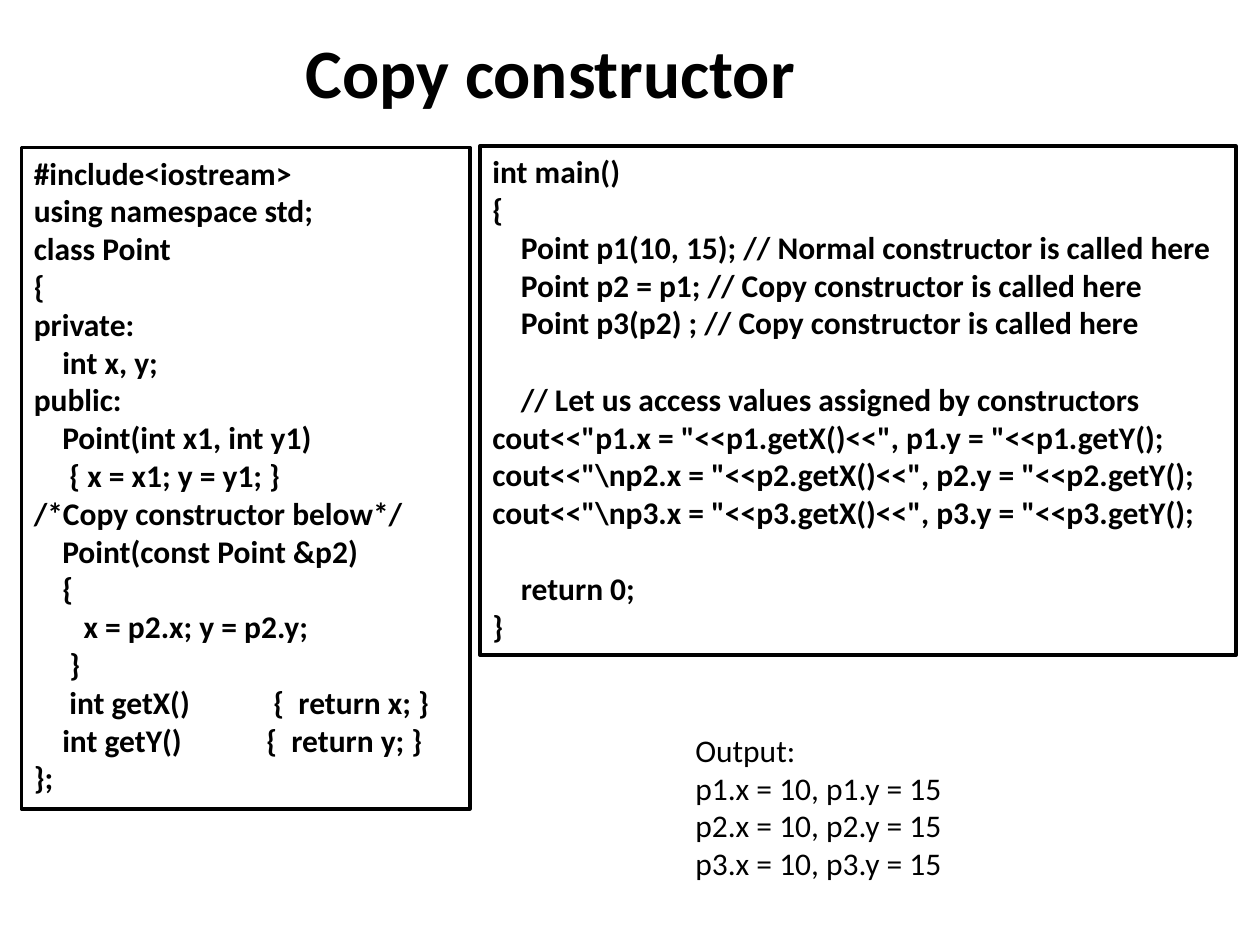
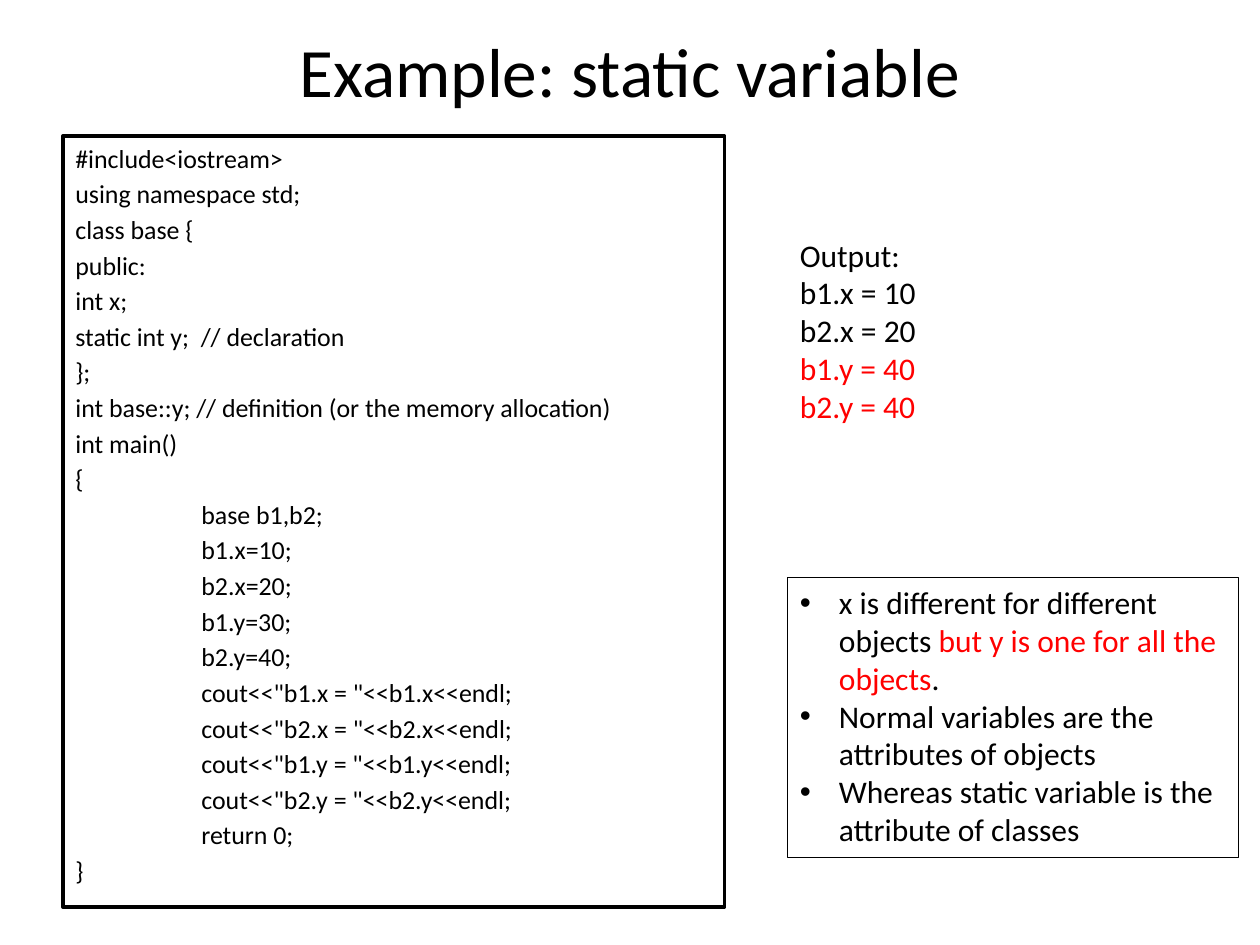
from lxml import etree
from pptx import Presentation
from pptx.dml.color import RGBColor
from pptx.enum.shapes import MSO_SHAPE
from pptx.enum.text import MSO_ANCHOR, MSO_AUTO_SIZE, PP_ALIGN
from pptx.oxml.ns import qn
from pptx.util import Inches, Pt

RECTANGLE = MSO_SHAPE.RECTANGLE
MIDDLE, TOP = MSO_ANCHOR.MIDDLE, MSO_ANCHOR.TOP
LEFT, CENTER = PP_ALIGN.LEFT, PP_ALIGN.CENTER
NO_FIT = MSO_AUTO_SIZE.NONE

BLACK, WHITE, RED = "000000", "FFFFFF", "FF0000"
FONT = "Calibri"
TITLE_SIZE, TEXT_SIZE, SMALL_SIZE = 39.6, 18, 14.8
CHARACTER_INDENT = 0.0565
BODY_OFFSET = 1.62
BLANK_LINE = 22
BULLET_INDENT = 0.31

POINT_CLASS = """#include<iostream>
using namespace std;
class Point
{
private:
    int x, y;
public:
    Point(int x1, int y1)
     { x = x1; y = y1; }
/*Copy constructor below*/
    Point(const Point &p2)
    {
       x = p2.x; y = p2.y;
     }
     int getX()\t{  return x; }
    int getY()\t{  return y; }
};"""

POINT_MAIN = r"""int main()
{
    Point p1(10, 15); // Normal constructor is called here
    Point p2 = p1; // Copy constructor is called here
    Point p3(p2) ; // Copy constructor is called here

    // Let us access values assigned by constructors
cout<<"p1.x = "<<p1.getX()<<", p1.y = "<<p1.getY();
cout<<"\np2.x = "<<p2.getX()<<", p2.y = "<<p2.getY();
cout<<"\np3.x = "<<p3.getX()<<", p3.y = "<<p3.getY();

    return 0;
}"""

STATIC_EXAMPLE = """#include<iostream>
using namespace std;
class base {
public:
int x;
static int y;  // declaration
};
int base::y; // definition (or the memory allocation)
int main()
{
 base b1,b2;
 b1.x=10;
 b2.x=20;
 b1.y=30;
 b2.y=40;
 cout<<"b1.x = "<<b1.x<<endl;
 cout<<"b2.x = "<<b2.x<<endl;
 cout<<"b1.y = "<<b1.y<<endl;
 cout<<"b2.y = "<<b2.y<<endl;
 return 0;
}"""


def color(value):
    return RGBColor.from_string(value)


def apply(target, values):
    for name, value in values.items():
        setattr(target, name, value)


class SlideBuilder:
    def __init__(self, deck):
        self.deck = deck
        self.page = None

    def start(self, title, area, bold=False):
        self.page = self.deck.slides.add_slide(self.deck.slide_layouts[5])
        box = self.page.shapes.title
        left, top, width, height = (Inches(value) for value in area)
        apply(box, {"left": left, "top": top, "width": width, "height": height})
        self.frame(box, MIDDLE)
        para = box.text_frame.paragraphs[0]
        para.alignment = CENTER
        self.span(para, title, TITLE_SIZE, bold=bold)

    def frame(self, box, anchor=TOP):
        apply(box.text_frame, {
            "word_wrap": True, "auto_size": NO_FIT, "vertical_anchor": anchor,
            "margin_left": Inches(0.1), "margin_right": Inches(0.1),
            "margin_top": Inches(0.05), "margin_bottom": Inches(0.05),
        })

    def span(self, para, text, size=TEXT_SIZE, tone=BLACK, bold=False):
        span = para.add_run()
        span.text = text
        apply(span.font, {"name": FONT, "size": Pt(size), "bold": bold})
        span.font.color.rgb = color(tone)

    def paragraph(self, box, first):
        frame = box.text_frame
        para = frame.paragraphs[0] if first else frame.add_paragraph()
        para.alignment = LEFT
        return para

    def panel(self, area, line_width):
        box = self.page.shapes.add_shape(RECTANGLE, *map(Inches, area))
        box.shadow.inherit = False
        box.fill.solid()
        box.fill.fore_color.rgb = color(WHITE)
        box.line.color.rgb = color(BLACK)
        box.line.width = Pt(line_width)
        self.frame(box)
        return box

    def tab_stops(self, para, positions):
        stops = etree.SubElement(para._p.get_or_add_pPr(), qn("a:tabLst"))
        for position in positions:
            etree.SubElement(stops, qn("a:tab"), pos=str(Inches(position)), algn="l")

    def code(self, area, listing, size=TEXT_SIZE, bold=False, unit=CHARACTER_INDENT, spacing=0):
        box = self.panel(area, 2)
        gap = spacing
        for index, line in enumerate(listing.split("\n")):
            if not line:
                gap += BLANK_LINE
                continue
            text = line.lstrip(" ")
            indent = unit * (len(line) - len(text))
            para = self.paragraph(box, index == 0)
            para.space_before = Pt(gap)
            gap = spacing
            if "\t" in text:
                self.tab_stops(para, [indent, indent + BODY_OFFSET])
                text = "\t" + text
            elif indent:
                para._p.get_or_add_pPr().set("marL", str(Inches(indent)))
            self.span(para, text, size, bold=bold)

    def output(self, area, lines):
        box = self.page.shapes.add_textbox(*map(Inches, area))
        self.frame(box)
        for index, (text, tone) in enumerate([("Output:", BLACK)] + lines):
            self.span(self.paragraph(box, index == 0), text, tone=tone)

    def bullets(self, area, items):
        box = self.panel(area, 0.25)
        for index, item in enumerate(items):
            para = self.paragraph(box, index == 0)
            properties = para._p.get_or_add_pPr()
            properties.set("marL", str(Inches(BULLET_INDENT)))
            properties.set("indent", str(-Inches(BULLET_INDENT)))
            etree.SubElement(properties, qn("a:buFont"), typeface="Arial")
            etree.SubElement(properties, qn("a:buChar"), char="•")
            for text, tone in item:
                self.span(para, text, tone=tone)


def main():
    deck = Presentation()
    deck.slide_width, deck.slide_height = Inches(10), Inches(7.5)
    builder = SlideBuilder(deck)

    builder.start("Copy constructor", (0.37, 0.25, 8, 0.62), bold=True)
    builder.code((0.17, 1.17, 3.56, 5.25), POINT_CLASS, bold=True)
    builder.code((3.81, 1.16, 6, 4.04), POINT_MAIN, bold=True)
    builder.output((5.42, 5.75, 3.25, 1.31),
                   [(f"p{n}.x = 10, p{n}.y = 15", BLACK) for n in (1, 2, 3)])

    builder.start("Example: static variable", (0.5, 0.3, 9, 0.5))
    builder.code((0.5, 1.08, 5.25, 6.12), STATIC_EXAMPLE, SMALL_SIZE, unit=1, spacing=2.6)
    builder.bullets((6.25, 4.58, 3.58, 2.22), [
        [("x is different for different objects ", BLACK),
         ("but y is one for all the objects", RED), (".", BLACK)],
        [("Normal variables are the attributes of objects", BLACK)],
        [("Whereas static variable is the attribute of classes", BLACK)],
    ])
    builder.output((6.25, 1.82, 2, 1.62), [
        ("b1.x = 10", BLACK), ("b2.x = 20", BLACK),
        ("b1.y = 40", RED), ("b2.y = 40", RED),
    ])
    deck.save("out.pptx")


if __name__ == "__main__":
    main()
